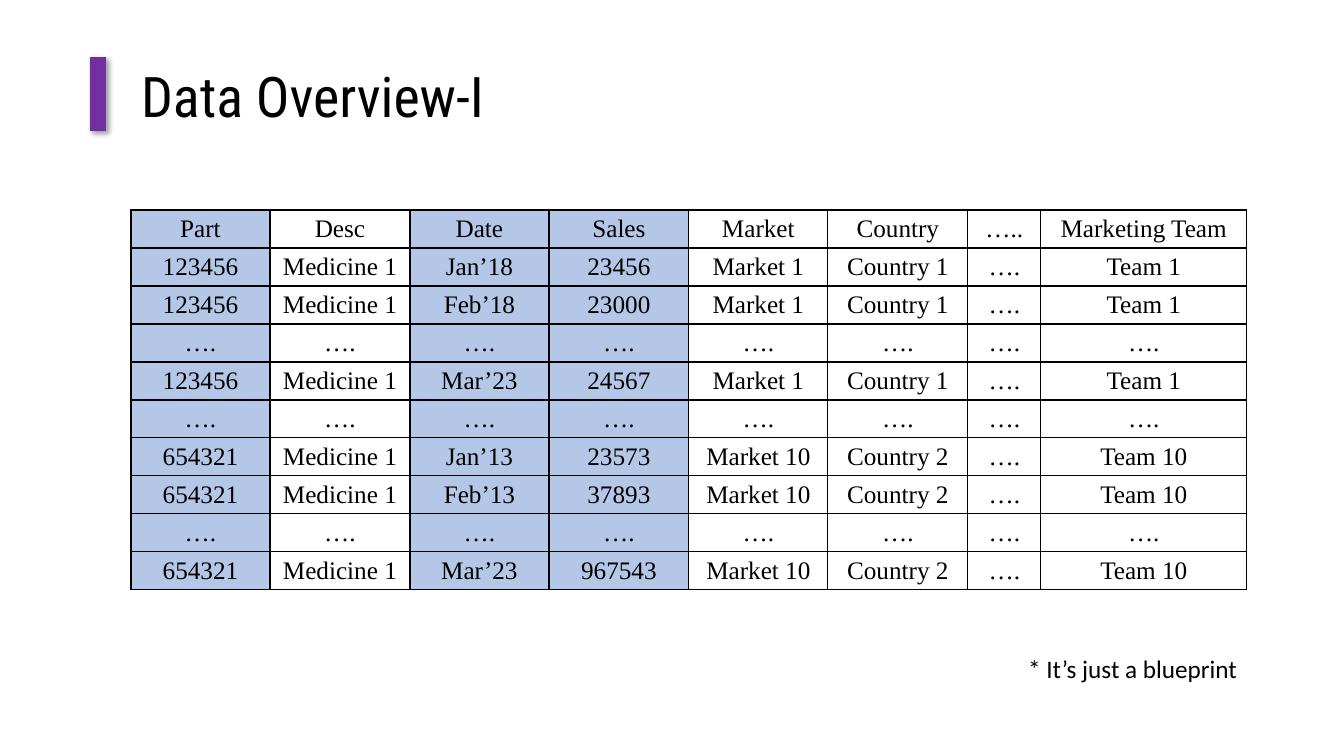
from typing import NamedTuple

from lxml.etree import SubElement
from pptx import Presentation
from pptx.dml.color import RGBColor
from pptx.enum.shapes import MSO_CONNECTOR
from pptx.enum.text import MSO_ANCHOR, MSO_AUTO_SIZE, PP_ALIGN
from pptx.oxml import parse_xml
from pptx.oxml.ns import nsdecls, qn
from pptx.table import _Cell
from pptx.text.text import TextFrame
from pptx.util import Emu, Pt

BLACK = RGBColor(0x00, 0x00, 0x00)
PURPLE = RGBColor(0x70, 0x30, 0xA0)
LIGHT_BLUE = RGBColor(0xB4, 0xC7, 0xE7)

SLIDE_WIDTH, SLIDE_HEIGHT = 1344, 756
EMU_PER_PIXEL = 12192000 / SLIDE_WIDTH


class Box(NamedTuple):
    left: int
    top: int
    width: int
    height: int


class Column(NamedTuple):
    heading: str
    width: int
    highlighted: bool = False


class Record(NamedTuple):
    part: str
    desc: str
    date: str
    sales: str
    market: str
    country: str
    other: str
    team: str


TITLE_BOX = Box(131, 56, 1116, 78)
TABLE_BOX = Box(131, 210, 1116, 380)
NOTE_BOX = Box(131, 648, 1116, 40)
ACCENT_X, ACCENT_TOP, ACCENT_BOTTOM = 98, 57, 131

COLUMNS = [
    Column("Part", 139, True),
    Column("Desc", 140),
    Column("Date", 139, True),
    Column("Sales", 140, True),
    Column("Market", 139),
    Column("Country", 140),
    Column("…..", 73),
    Column("Marketing Team", 206),
]

DOTS = "…."
GAP = Record(*[DOTS] * len(COLUMNS))


def first_part(date: str, sales: str) -> Record:
    return Record("123456", "Medicine 1", date, sales, "Market 1", "Country 1", DOTS, "Team 1")


def last_part(date: str, sales: str) -> Record:
    return Record("654321", "Medicine 1", date, sales, "Market 10", "Country 2", DOTS, "Team 10")


RECORDS = [
    first_part("Jan’18", "23456"),
    first_part("Feb’18", "23000"),
    GAP,
    first_part("Mar’23", "24567"),
    GAP,
    last_part("Jan’13", "23573"),
    last_part("Feb’13", "37893"),
    GAP,
    last_part("Mar’23", "967543"),
]


def px(pixels: float) -> Emu:
    return Emu(round(pixels * EMU_PER_PIXEL))


def emu_box(box: Box) -> list[Emu]:
    return [px(length) for length in box]


def write(frame: TextFrame, text: str, *, font: str, size: int,
          align: PP_ALIGN = PP_ALIGN.LEFT, color: RGBColor = BLACK) -> None:
    paragraph = frame.paragraphs[0]
    paragraph.alignment = align
    run = paragraph.add_run()
    run.text = text
    run.font.name = font
    run.font.size = Pt(size)
    run.font.color.rgb = color


def add_borders(cell: _Cell, color: RGBColor, width: Pt) -> None:
    properties = cell._tc.get_or_add_tcPr()
    for position, side in enumerate(("lnL", "lnR", "lnT", "lnB")):
        properties.insert(position, parse_xml(
            f'<a:{side} {nsdecls("a")} w="{width}"><a:solidFill>'
            f'<a:srgbClr val="{color}"/></a:solidFill></a:{side}>'))


def format_cell(cell: _Cell, text: str, highlighted: bool) -> None:
    cell.margin_top = cell.margin_bottom = 0
    cell.margin_left = cell.margin_right = px(7)
    cell.vertical_anchor = MSO_ANCHOR.MIDDLE
    if highlighted:
        cell.fill.solid()
        cell.fill.fore_color.rgb = LIGHT_BLUE
    else:
        cell.fill.background()
    add_borders(cell, BLACK, Pt(1))
    write(cell.text_frame, text, font="Times New Roman", size=18, align=PP_ALIGN.CENTER)


presentation = Presentation()
presentation.slide_width = px(SLIDE_WIDTH)
presentation.slide_height = px(SLIDE_HEIGHT)
slide = presentation.slides.add_slide(presentation.slide_layouts[5])

# Accent bar with a soft shadow
accent = slide.shapes.add_connector(
    MSO_CONNECTOR.STRAIGHT, px(ACCENT_X), px(ACCENT_TOP), px(ACCENT_X), px(ACCENT_BOTTOM))
accent.line.color.rgb = PURPLE
accent.line.width = Pt(12)
effects = SubElement(accent._element.spPr, qn("a:effectLst"))
effects.append(parse_xml(
    f'<a:outerShdw {nsdecls("a")} blurRad="{Pt(4)}" dist="{Pt(3)}" dir="2700000" '
    f'algn="tl" rotWithShape="0"><a:srgbClr val="{BLACK}"><a:alpha val="40000"/>'
    '</a:srgbClr></a:outerShdw>'))

# Title
title = slide.shapes.title
title.left, title.top, title.width, title.height = emu_box(TITLE_BOX)
title.text_frame.auto_size = MSO_AUTO_SIZE.NONE
title.text_frame.vertical_anchor = MSO_ANCHOR.MIDDLE
write(title.text_frame, "Data Overview-I", font="Roboto Condensed", size=40)

# Sales table
rows = [[column.heading for column in COLUMNS], *RECORDS]
sales_table = slide.shapes.add_table(len(rows), len(COLUMNS), *emu_box(TABLE_BOX)).table
sales_table.horz_banding = False
sales_table.first_row = False
for table_column, column in zip(sales_table.columns, COLUMNS):
    table_column.width = px(column.width)
for row_index, row in enumerate(rows):
    sales_table.rows[row_index].height = px(TABLE_BOX.height / len(rows))
    for column_index, (text, column) in enumerate(zip(row, COLUMNS)):
        format_cell(sales_table.cell(row_index, column_index), text, column.highlighted)

# Footnote
note = slide.shapes.add_textbox(*emu_box(NOTE_BOX)).text_frame
note.word_wrap = True
note.auto_size = MSO_AUTO_SIZE.SHAPE_TO_FIT_TEXT
write(note, "* It’s just a blueprint", font="Calibri", size=18, align=PP_ALIGN.RIGHT)

presentation.save("out.pptx")
